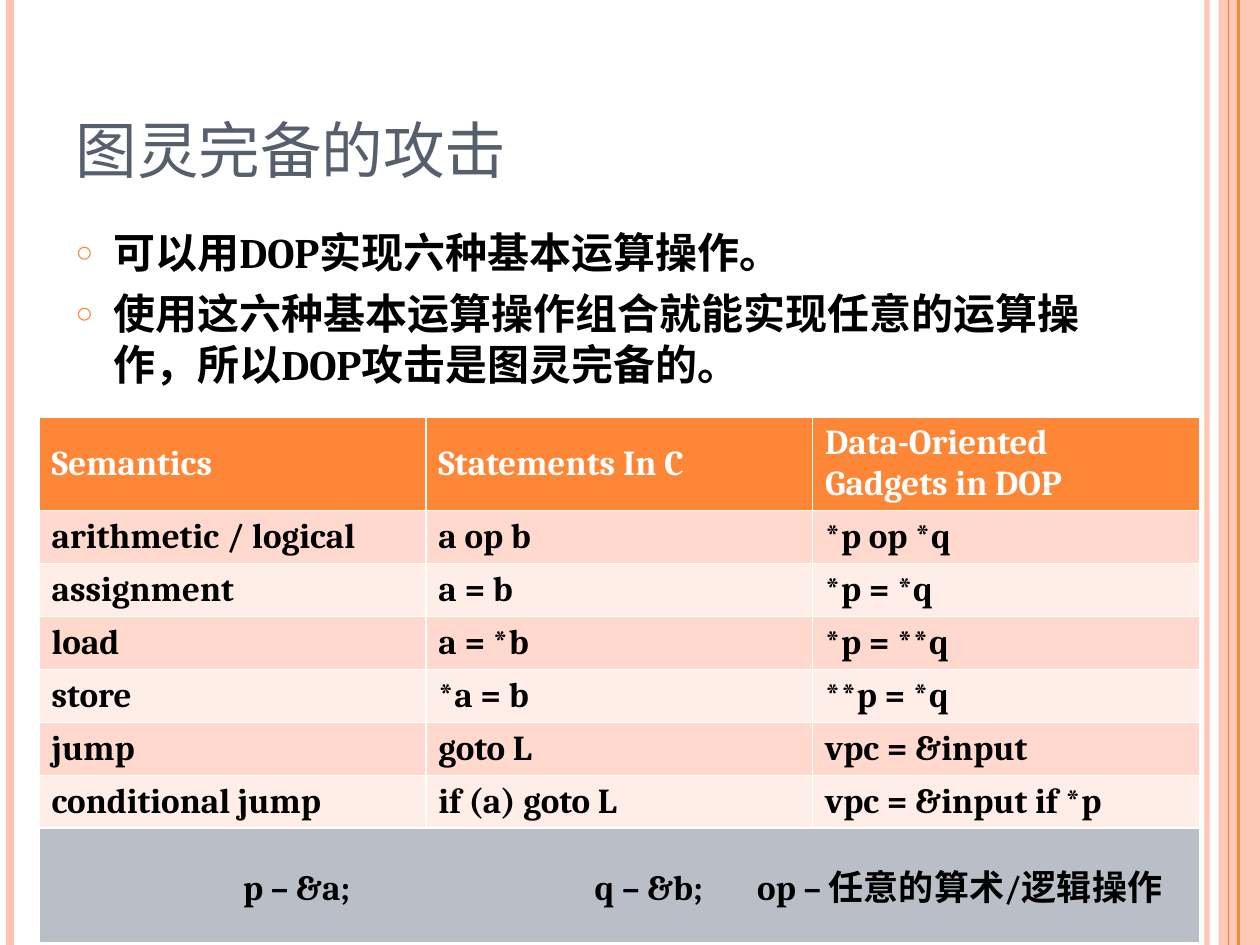
from lxml import etree
from pptx import Presentation
from pptx.dml.color import RGBColor
from pptx.enum.shapes import MSO_CONNECTOR, MSO_SHAPE
from pptx.enum.text import MSO_ANCHOR, MSO_AUTO_SIZE, PP_ALIGN
from pptx.oxml.ns import qn
from pptx.util import Inches, Pt

STRAIGHT = MSO_CONNECTOR.STRAIGHT
RECT = MSO_SHAPE.RECTANGLE
TOP, MIDDLE, BOTTOM = MSO_ANCHOR.TOP, MSO_ANCHOR.MIDDLE, MSO_ANCHOR.BOTTOM
LEFT = PP_ALIGN.LEFT
NO_FIT = MSO_AUTO_SIZE.NONE

FONT = "Cambria"
COLORS = {
    "orange": "FE8637", "peach": "FEC3AE", "title": "575F6D",
    "text": "000000", "white": "FFFFFF", "band_dark": "FFD9CE",
    "band_light": "FFEDE8", "footer": "B9BEC7",
}
TITLE_FORMAT = {"name": FONT, "size": Pt(44), "bold": False}
BODY_FORMAT = {"name": FONT, "size": Pt(24), "bold": True}
CELL_FORMAT = {"name": FONT, "size": Pt(20), "bold": True}

# x position, colour, width in points, opacity in percent
STRIPES = [
    (9.58, "peach", 3, 93),
    (0.08, "peach", 4.5, 100),
    (9.83, "orange", 1.5, 100),
    (9.75, "orange", 0.75, 100),
]
BULLETS = [
    "可以用DOP实现六种基本运算操作。",
    "使用这六种基本运算操作组合就能实现任意的运算操作，所以DOP攻击是图灵完备的。",
]
GADGETS = [
    ("Semantics", "Statements In C", "Data-Oriented\nGadgets in DOP"),
    ("arithmetic / logical", "a op b", "*p op *q"),
    ("assignment", "a = b", "*p = *q"),
    ("load", "a = *b", "*p = **q"),
    ("store", "*a = b", "**p = *q"),
    ("jump", "goto L", "vpc = &input"),
    ("conditional jump", "if (a) goto L", "vpc = &input if *p"),
]
LEGEND = "p – &a;\tq – &b;\top – 任意的算术/逻辑操作"
LEGEND_INDENT = 1.52
LEGEND_TABS = (2.79, 4.08)
HEADER_HEIGHT, ROW_HEIGHT, LEGEND_HEIGHT = 0.73, 0.42, 0.5


def rgb(color):
    return RGBColor.from_string(COLORS[color])


def sub(parent, tag, **attrs):
    """Append a DrawingML child element."""
    return etree.SubElement(parent, qn(tag), {k: str(v) for k, v in attrs.items()})


def set_opacity(sp, percent):
    clr = next(sp._element.spPr.iter(qn("a:srgbClr")))
    sub(clr, "a:alpha", val=percent * 1000)


def format_text(tf, values, color):
    for p in tf.paragraphs:
        for r in p.runs:
            for name, value in values.items():
                setattr(r.font, name, value)
            r.font.color.rgb = rgb(color)


def place(sp, left, top, width, height):
    sp.left, sp.top = Inches(left), Inches(top)
    sp.width, sp.height = Inches(width), Inches(height)


def add_stripe(s, x, color, width, opacity):
    line = s.shapes.add_connector(STRAIGHT, Inches(x), 0, Inches(x), Inches(7.5))
    line.line.color.rgb = rgb(color)
    line.line.width = Pt(width)
    if opacity < 100:
        set_opacity(line, opacity)
    sub(line._element.spPr, "a:effectLst")


def add_side_band(s):
    sp = s.shapes.add_shape(RECT, Inches(9.67), 0, Inches(0.33), Inches(7.5))
    sp.shadow.inherit = False
    sp.fill.solid()
    sp.fill.fore_color.rgb = rgb("peach")
    sp.line.fill.background()
    set_opacity(sp, 87)


def fill_title(sp):
    place(sp, 0.5, 0.3, 8.17, 1.25)
    tf = sp.text_frame
    tf.text = "图灵完备的攻击"
    tf.auto_size = NO_FIT
    tf.vertical_anchor = BOTTOM
    p = tf.paragraphs[0]
    p.alignment = LEFT
    format_text(tf, TITLE_FORMAT, "title")
    p.runs[0].font._element.set("cap", "small")


def add_bullet(p):
    pPr = p._p.get_or_add_pPr()
    indent = Inches(0.3)
    pPr.set("marL", str(indent))
    pPr.set("indent", str(-indent))
    sub(sub(pPr, "a:buClr"), "a:srgbClr", val=COLORS["orange"])
    sub(pPr, "a:buSzPct", val=70000)
    sub(pPr, "a:buChar", char="○")


def fill_body(sp):
    place(sp, 0.5, 1.75, 8.17, 5.33)
    tf = sp.text_frame
    tf.text = "\n".join(BULLETS)
    tf.auto_size = NO_FIT
    tf.vertical_anchor = TOP
    for i, p in enumerate(tf.paragraphs):
        add_bullet(p)
        p.space_before = Pt(6 if i else 0)
    format_text(tf, BODY_FORMAT, "text")


def set_borders(cell):
    """Draw white borders, which must come before the fill in the cell."""
    tcPr = cell._tc.get_or_add_tcPr()
    for side in ("a:lnL", "a:lnR", "a:lnT", "a:lnB"):
        ln = sub(tcPr, side, w=Pt(1))
        sub(sub(ln, "a:solidFill"), "a:srgbClr", val=COLORS["white"])


def fill_cell(cell, text, fill, color="text"):
    set_borders(cell)
    cell.fill.solid()
    cell.fill.fore_color.rgb = rgb(fill)
    cell.vertical_anchor = MIDDLE
    cell.text_frame.text = text
    format_text(cell.text_frame, CELL_FORMAT, color)


def set_legend_tabs(p):
    pPr = p._p.get_or_add_pPr()
    pPr.set("marL", str(Inches(LEGEND_INDENT)))
    tabs = sub(pPr, "a:tabLst")
    for pos in LEGEND_TABS:
        sub(tabs, "a:tab", pos=Inches(pos), algn="l")


def add_gadget_table(s):
    heights = [HEADER_HEIGHT] + [ROW_HEIGHT] * (len(GADGETS) - 1) + [LEGEND_HEIGHT]
    table = s.shapes.add_table(len(heights), 3, Inches(0.31), Inches(3.31),
                               Inches(9.21), Inches(sum(heights))).table
    for row, height in zip(table.rows, heights):
        row.height = Inches(height)
    for i, texts in enumerate(GADGETS):
        fill = "band_dark" if i % 2 else "band_light"
        style = (fill, "text") if i else ("orange", "white")
        for j, text in enumerate(texts):
            fill_cell(table.cell(i, j), text, *style)
    last = len(GADGETS)
    legend = table.cell(last, 0)
    legend.merge(table.cell(last, 2))
    fill_cell(legend, LEGEND, "footer")
    set_legend_tabs(legend.text_frame.paragraphs[0])


def main():
    prs = Presentation()
    prs.slide_width, prs.slide_height = Inches(10), Inches(7.5)
    s = prs.slides.add_slide(prs.slide_layouts[1])
    add_side_band(s)
    for stripe in STRIPES:
        add_stripe(s, *stripe)
    fill_title(s.shapes.title)
    fill_body(s.placeholders[1])
    add_gadget_table(s)
    prs.save("out.pptx")


if __name__ == "__main__":
    main()
